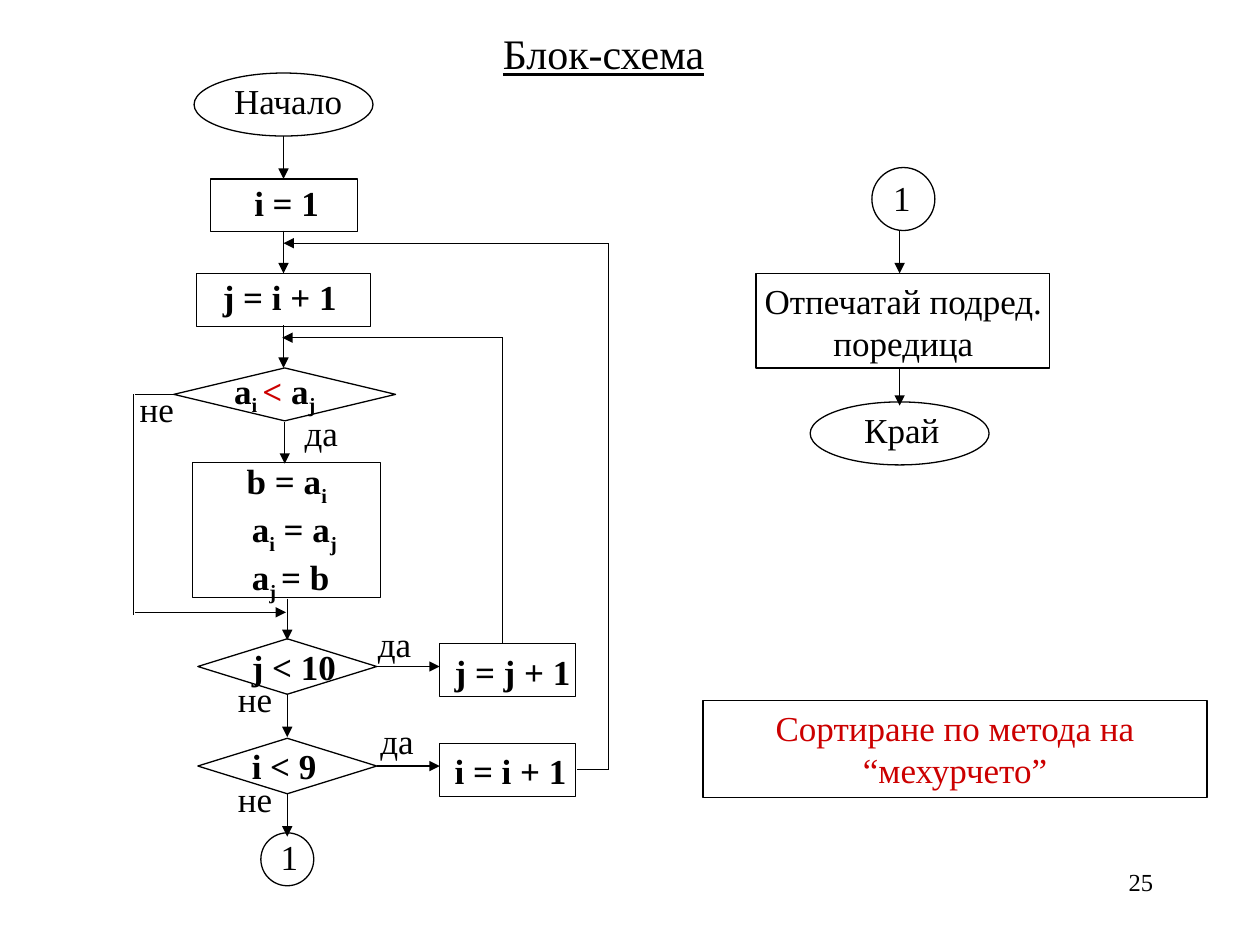
from lxml.etree import SubElement
from pptx import Presentation
from pptx.dml.color import RGBColor
from pptx.enum.shapes import MSO_CONNECTOR, MSO_SHAPE
from pptx.enum.text import MSO_ANCHOR, MSO_AUTO_SIZE, PP_ALIGN
from pptx.oxml.ns import qn
from pptx.util import Emu, Pt

PX = 9144
FONT = "Times New Roman"
COLOURS = {"ink": "000000", "accent": "CC0000"}
LEFT, CENTER, RIGHT = PP_ALIGN.LEFT, PP_ALIGN.CENTER, PP_ALIGN.RIGHT
OVAL, RECT, DIAMOND = MSO_SHAPE.OVAL, MSO_SHAPE.RECTANGLE, MSO_SHAPE.DIAMOND


def px(*lengths):
    return [Emu(length * PX) for length in lengths]


def colour(name):
    return RGBColor.from_string(COLOURS[name])


def add_span(para, text, size=20, bold=False, underline=False, tint="ink", sub=False):
    span = para.add_run()
    span.text = text
    font = span.font
    font.name, font.size, font.bold, font.underline = FONT, Pt(size), bold, underline
    font.color.rgb = colour(tint)
    if sub:
        font._element.set("baseline", "-25000")


def prepare_text(box, align=LEFT, before=12.5):
    frame = box.text_frame
    frame.word_wrap = True
    frame.auto_size = MSO_AUTO_SIZE.NONE
    frame.vertical_anchor = MSO_ANCHOR.TOP
    frame.margin_left = frame.margin_right = Emu(10 * PX)
    frame.margin_top = frame.margin_bottom = Emu(5 * PX)
    para = frame.paragraphs[0]
    para.alignment = align
    para.space_before = Pt(before)
    return para


def add_label(slide, area, text, align=LEFT, **style):
    box = slide.shapes.add_textbox(*px(*area))
    add_span(prepare_text(box, align), text, **style)


def add_formula(slide, area, lines):
    para = prepare_text(slide.shapes.add_textbox(*px(*area)))
    for number, line in enumerate(lines):
        if number:
            para.add_line_break()
        for text, style in line:
            add_span(para, text, bold=True, **style)


def add_node(slide, kind, area):
    node = slide.shapes.add_shape(kind, *px(*area))
    node.shadow.inherit = False
    node.fill.background()
    node.line.color.rgb = colour("ink")
    node.line.width = Pt(0.75)
    return node


def add_line(slide, points, arrow=False):
    line = slide.shapes.add_connector(MSO_CONNECTOR.STRAIGHT, *px(*points))
    line.line.color.rgb = colour("ink")
    line.line.width = Pt(0.75)
    if arrow:
        SubElement(line.line._get_or_add_ln(), qn("a:tailEnd"), type="triangle")
    SubElement(line._element.spPr, qn("a:effectLst"))


def add_title(slide, text):
    title = slide.shapes.title
    title.left, title.top, title.width, title.height = px(375, 17, 208, 50)
    add_span(prepare_text(title, CENTER, 15), text, size=24, underline=True)


def add_main_flow(slide):
    steps = [
        (OVAL, (154, 58, 142, 50), (176, 58, 108, 44), "Начало", False),
        (RECT, (167, 142, 117, 42), (192, 139, 96, 44), "i = 1", True),
        (RECT, (156, 217, 138, 42), (167, 214, 151, 44), "j = i + 1", True),
        (OVAL, (207, 661, 42, 42), (213, 658, 50, 44), "1", False),
    ]
    for kind, area, label_area, text, bold in steps:
        add_node(slide, kind, area)
        add_label(slide, label_area, text, bold=bold)
    for x, top, bottom in [(225, 108, 142), (225, 183, 217), (225, 258, 292),
                           (226, 335, 368), (228, 475, 508)]:
        add_line(slide, (x, top, x, bottom), arrow=True)


def add_comparison(slide):
    plain, sub = {}, {"sub": True}
    add_node(slide, DIAMOND, (138, 292, 176, 42))
    add_formula(slide, (176, 288, 117, 48), [
        [("a", plain), ("i ", sub), ("<", {"tint": "accent"}), (" a", plain), ("j", sub)],
    ])
    add_node(slide, RECT, (153, 367, 149, 107))
    add_formula(slide, (186, 360, 117, 124), [
        [("b = a", plain), ("i", sub)],
        [(" ", sub), ("a", plain), ("i", sub), (" = a", plain), ("j", sub)],
        [(" ", sub), ("a", plain), ("j ", sub), ("= b", plain)],
    ])
    add_label(slide, (232, 322, 50, 44), "да")
    add_label(slide, (101, 303, 50, 44), "не")
    add_line(slide, (107, 313, 140, 313))
    add_line(slide, (106, 313, 106, 488))
    add_line(slide, (107, 486, 227, 486), arrow=True)


def add_loop_test(slide, top, test, step, yes_area):
    add_node(slide, DIAMOND, (157, top, 142, 44))
    add_label(slide, (190, top, 97, 44), test, bold=True)
    add_node(slide, RECT, (349, top + 4, 108, 42))
    add_label(slide, (351, top + 4, 117, 44), step, bold=True)
    add_line(slide, (299, top + 22, 349, top + 22), arrow=True)
    add_line(slide, (228, top + 44, 228, top + 78), arrow=True)
    add_label(slide, yes_area, "да")
    add_label(slide, (179, top + 26, 50, 44), "не")


def add_return_paths(slide):
    add_line(slide, (399, 510, 399, 268))
    add_line(slide, (399, 268, 224, 268), arrow=True)
    add_line(slide, (458, 611, 483, 611))
    add_line(slide, (483, 611, 483, 194))
    add_line(slide, (483, 193, 225, 193), arrow=True)


def add_output_flow(slide):
    add_node(slide, OVAL, (692, 133, 50, 50))
    add_label(slide, (699, 135, 42, 44), "1")
    add_line(slide, (714, 183, 714, 217), arrow=True)
    add_node(slide, RECT, (600, 217, 233, 75))
    add_label(slide, (592, 217, 250, 77), "Отпечатай подред. поредица", CENTER)
    add_node(slide, OVAL, (643, 319, 142, 50))
    add_label(slide, (676, 319, 108, 44), "Край")
    add_line(slide, (714, 293, 714, 322), arrow=True)


def add_caption(slide):
    caption = add_node(slide, RECT, (558, 556, 400, 77))
    add_span(prepare_text(caption, CENTER), "Сортиране по метода на “мехурчето”", tint="accent")


def main():
    deck = Presentation()
    deck.slide_width, deck.slide_height = px(1000, 750)
    slide = deck.slides.add_slide(deck.slide_layouts[5])
    add_title(slide, "Блок-схема")
    add_main_flow(slide)
    add_comparison(slide)
    add_loop_test(slide, 507, "j < 10", "j = j + 1", (290, 489, 50, 44))
    add_loop_test(slide, 586, "i < 9", "i = i + 1", (292, 566, 50, 44))
    add_return_paths(slide)
    add_output_flow(slide)
    add_caption(slide)
    add_label(slide, (717, 683, 208, 50), "25", RIGHT, size=14)
    deck.save("out.pptx")


if __name__ == "__main__":
    main()
